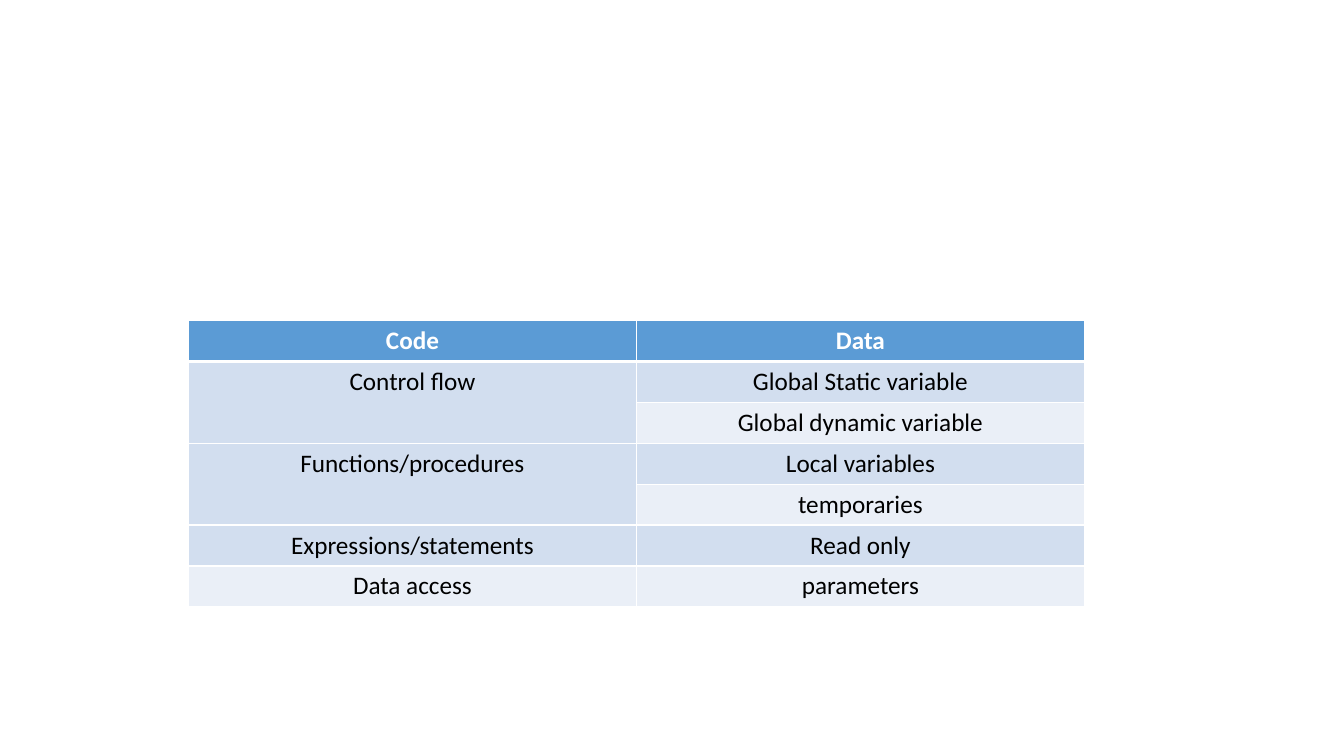
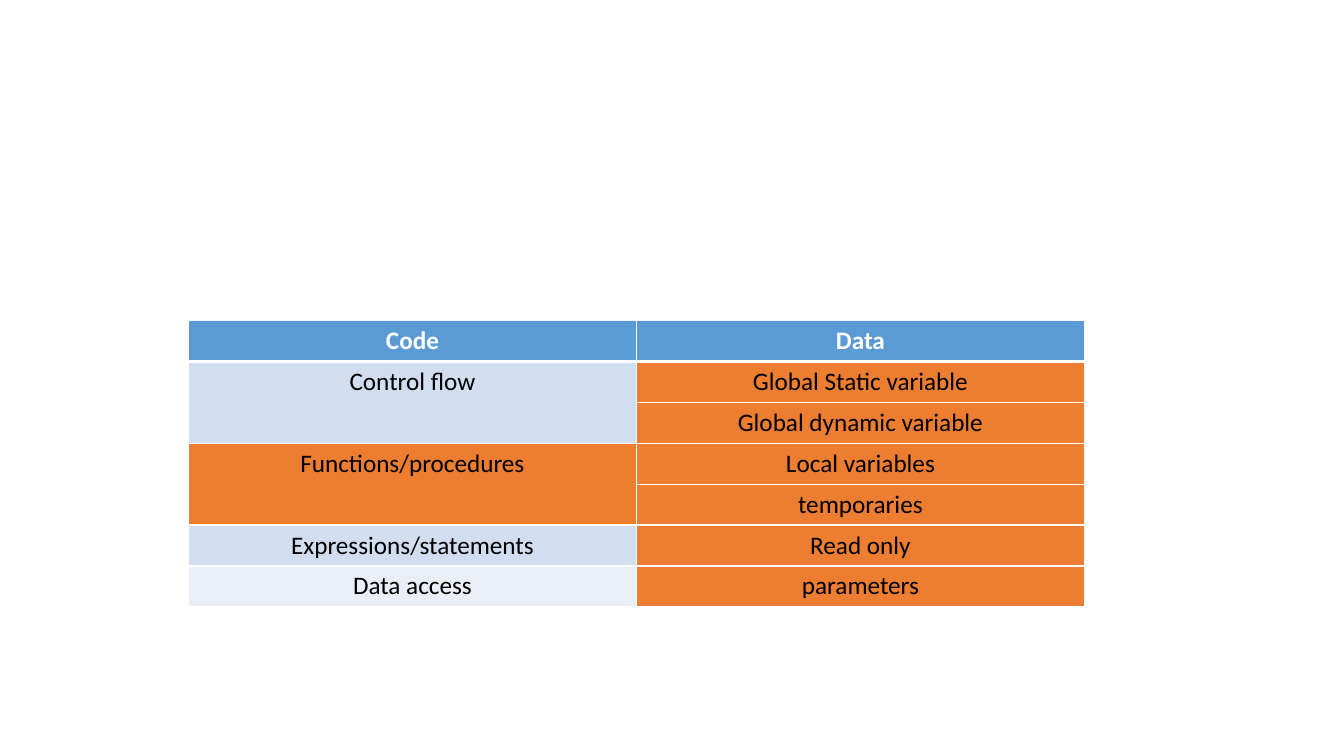
from lxml import etree
from pptx import Presentation
from pptx.dml.color import RGBColor
from pptx.enum.text import PP_ALIGN
from pptx.oxml.ns import qn
from pptx.util import Cm, Pt

CENTER = PP_ALIGN.CENTER
WHITE = RGBColor(0xFF, 0xFF, 0xFF)
BLACK = RGBColor(0x00, 0x00, 0x00)
HEADER_BLUE = RGBColor(0x5B, 0x9B, 0xD5)
BAND_DARK = RGBColor(0xD2, 0xDE, 0xEF)
BAND_LIGHT = RGBColor(0xEA, 0xEF, 0xF7)
ORANGE = RGBColor(0xED, 0x7D, 0x31)
FONT = "Calibri"

SLIDE_SIZE = Cm(33.87), Cm(19.05)
TABLE_BOX = Cm(4.75), Cm(8.08), Cm(22.58), Cm(7.21)

# None continues the cell above.
ROWS = [
    ("Code", "Data"),
    ("Control flow", "Global Static variable"),
    (None, "Global dynamic variable"),
    ("Functions/procedures", "Local variables"),
    (None, "temporaries"),
    ("Expressions/statements", "Read only"),
    ("Data access", "parameters"),
]
HIGHLIGHTED = {"Functions/procedures"} | {data for _, data in ROWS[1:]}


def write_text(tf, text, size=18, color=BLACK, bold=False, align=CENTER):
    p = tf.paragraphs[0]
    p.alignment = align
    r = p.add_run()
    r.text = text
    r.font.name = FONT
    r.font.size = Pt(size)
    r.font.bold = bold
    r.font.color.rgb = color


def set_borders(cell, color=WHITE, **widths):
    """Draw the edges given by L, R, T and B, in points; call before filling."""
    tc_pr = cell._tc.get_or_add_tcPr()
    for edge in "LRTB":
        ln = etree.SubElement(tc_pr, qn(f"a:ln{edge}"), w=str(Pt(widths.get(edge, 1))))
        fill = etree.SubElement(ln, qn("a:solidFill"))
        etree.SubElement(fill, qn("a:srgbClr"), val=str(color))


def add_memory_table(slide, box, highlighted=frozenset()):
    """Add the code and data table, with the highlighted entries in orange."""
    left, top, width, height = box
    table = slide.shapes.add_table(len(ROWS), len(ROWS[0]), left, top, width, height).table
    table.first_row = table.horz_banding = False
    for row in table.rows:
        row.height = height // len(ROWS)

    for i, row in enumerate(ROWS):
        header = i == 0
        for j, text in enumerate(row):
            cell = table.cell(i, j)
            set_borders(cell, T=3 if i == 1 else 1, B=3 if header else 1)
            cell.fill.solid()
            if header:
                color = HEADER_BLUE
            elif text in highlighted:
                color = ORANGE
            else:
                color = BAND_DARK if i % 2 else BAND_LIGHT
            cell.fill.fore_color.rgb = color
            if text is None:
                table.cell(i - 1, j).merge(cell)
            else:
                write_text(cell.text_frame, text, color=WHITE if header else BLACK, bold=header)


def main():
    prs = Presentation()
    prs.slide_width, prs.slide_height = SLIDE_SIZE
    blank = prs.slide_layouts[6]
    for highlighted in (frozenset(), HIGHLIGHTED):
        add_memory_table(prs.slides.add_slide(blank), TABLE_BOX, highlighted)
    prs.save("out.pptx")


if __name__ == "__main__":
    main()
